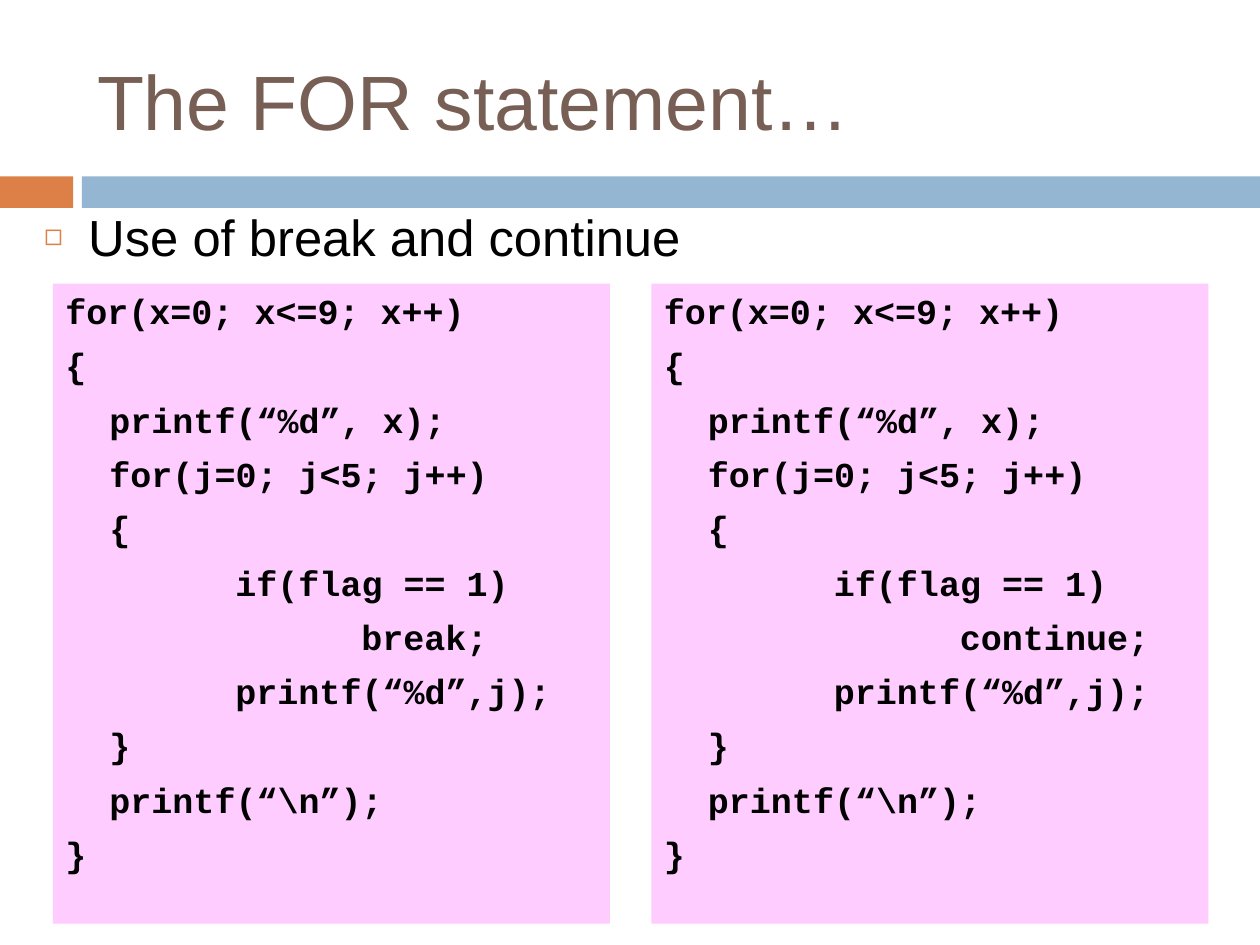
from lxml import etree
from pptx import Presentation
from pptx.dml.color import RGBColor
from pptx.enum.shapes import MSO_SHAPE
from pptx.enum.text import MSO_ANCHOR, MSO_AUTO_SIZE, PP_ALIGN
from pptx.oxml.ns import qn
from pptx.util import Inches, Pt

ORANGE, BLUE, PINK = "DD8047", "94B6D2", "FFCCFF"
BROWN, BLACK = "775F55", "000000"
INDENT = Inches(0.35)


def write_text(frame, text, *, size, color, font="Arial", bold=False, bullet=None,
               hanging=False, space=0, anchor=MSO_ANCHOR.TOP):
    frame.word_wrap = True
    frame.auto_size = MSO_AUTO_SIZE.NONE
    frame.vertical_anchor = anchor
    frame.text = text
    for index, paragraph in enumerate(frame.paragraphs):
        paragraph.alignment = PP_ALIGN.LEFT
        paragraph.space_before = Pt(space if index else 0)
        properties = paragraph._p.get_or_add_pPr()
        if hanging:
            properties.set("marL", str(INDENT))
            properties.set("indent", str(-INDENT))
            properties.set("defTabSz", str(Inches(1)))
        if bullet:
            bullet_color = etree.SubElement(properties, qn("a:buClr"))
            etree.SubElement(bullet_color, qn("a:srgbClr"), val=ORANGE)
            etree.SubElement(properties, qn("a:buSzPct"), val="60000")
            etree.SubElement(properties, qn("a:buChar"), char=bullet)
        for run in paragraph.runs:
            run.font.name = font
            run.font.size = Pt(size)
            run.font.bold = bold
            run.font.color.rgb = RGBColor.from_string(color)


def place(shape, left, top, width, height):
    shape.left, shape.top = Inches(left), Inches(top)
    shape.width, shape.height = Inches(width), Inches(height)


presentation = Presentation()
presentation.slide_width, presentation.slide_height = Inches(10), Inches(7.5)
slide = presentation.slides.add_slide(presentation.slide_layouts[1])

# Title and bullet
title, body = slide.placeholders
place(title, 0.67, 0.25, 8.92, 1.08)
write_text(title.text_frame, "The FOR statement…", size=44, color=BROWN,
           anchor=MSO_ANCHOR.MIDDLE)
place(body, 0.25, 1.58, 9.25, 0.67)
write_text(body.text_frame, "Use of break and continue", size=29, color=BLACK,
           bullet="◻", hanging=True)

# Divider bands and code panels
code = """for(x=0; x<=9; x++)
{
\tprintf(“%d”, x);
\tfor(j=0; j<5; j++)
\t{
\t\tif(flag == 1)
\t\t\tKEYWORD;
\t\tprintf(“%d”,j);
\t}
\tprintf(“\\n”);
}"""
rectangles = [
    (0, 1.4, 0.58, 0.25, ORANGE, None),
    (0.65, 1.4, 9.35, 0.25, BLUE, None),
    (0.42, 2.25, 4.42, 5.08, PINK, "break"),
    (5.17, 2.25, 4.42, 5.08, PINK, "continue"),
]
for left, top, width, height, fill, keyword in rectangles:
    shape = slide.shapes.add_shape(MSO_SHAPE.RECTANGLE, Inches(left), Inches(top),
                                   Inches(width), Inches(height))
    shape.shadow.inherit = False
    shape.fill.solid()
    shape.fill.fore_color.rgb = RGBColor.from_string(fill)
    shape.line.fill.background()
    if keyword:
        write_text(shape.text_frame, code.replace("KEYWORD", keyword), size=20,
                   color=BLACK, font="Courier New", bold=True, hanging=True, space=7)

presentation.save("out.pptx")
